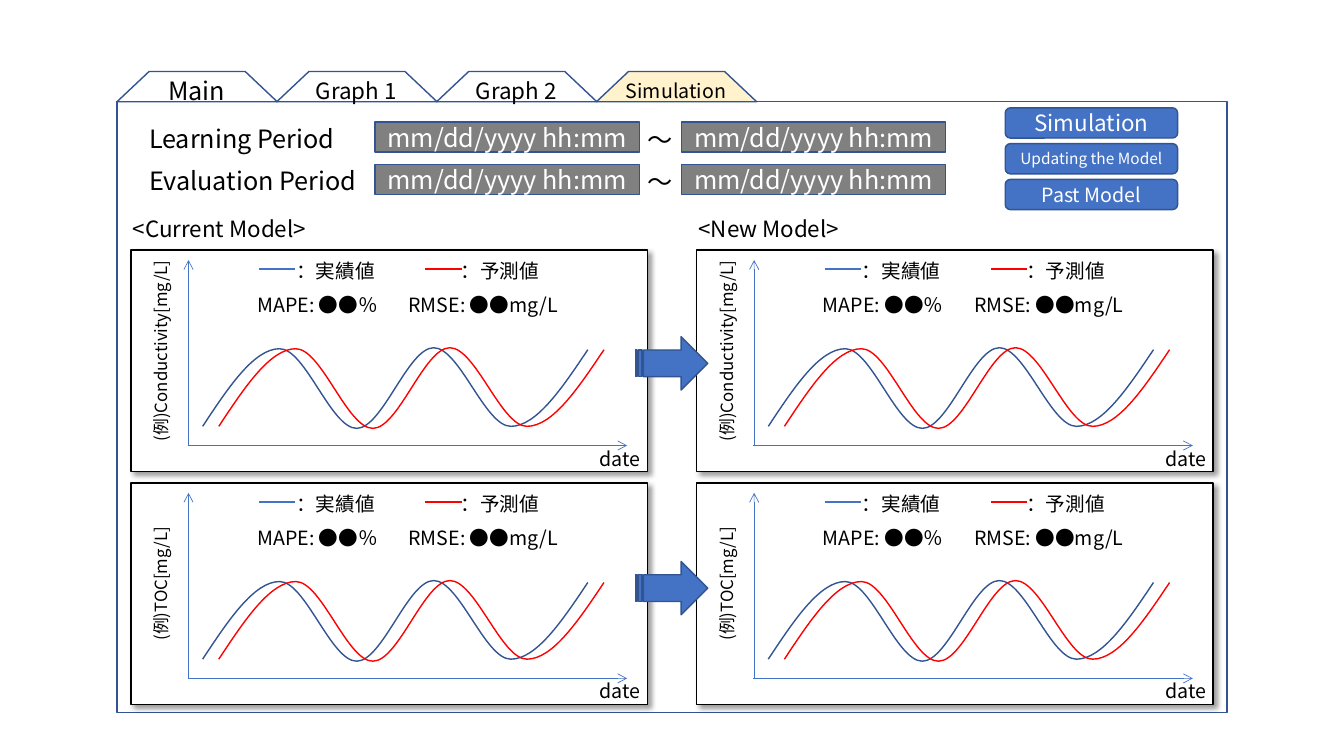
import lxml.etree
import pptx
import pptx.dml.color
import pptx.enum.shapes
import pptx.enum.text
import pptx.oxml.ns
import pptx.util

Inches = pptx.util.Inches
Pt = pptx.util.Pt
KIND = pptx.enum.shapes.MSO_SHAPE
ALIGN = pptx.enum.text.PP_ALIGN
qn = pptx.oxml.ns.qn

FONT = "Noto Sans CJK JP"
COLORS = {
    "blue": "4472C4",
    "navy": "325491",
    "cream": "FFF2CC",
    "gray": "808080",
    "red": "FF0000",
    "black": "000000",
    "white": "FFFFFF",
}


def rgb(name):
    return pptx.dml.color.RGBColor.from_string(COLORS[name])


def node(parent, tag, **attrs):
    return lxml.etree.SubElement(parent, qn(tag), attrs)


def write(shape, text, size, color, align):
    para = shape.text_frame.paragraphs[0]
    para.text = text
    para.alignment = align
    for run in para.runs:
        run.font.size = Pt(size)
        run.font.name = FONT
        run.font.color.rgb = rgb(color)
        node(run.font._element, "a:ea", typeface=FONT)


def label(slide, text, x, y, w, h, size, align=ALIGN.LEFT):
    box = slide.shapes.add_textbox(Inches(x), Inches(y), Inches(w), Inches(h))
    box.text_frame.word_wrap = True
    box.text_frame.auto_size = pptx.enum.text.MSO_AUTO_SIZE.SHAPE_TO_FIT_TEXT
    write(box, text, size, "black", align)
    return box


def style(shape, fill, line):
    shape.shadow.inherit = False
    if fill:
        shape.fill.solid()
        shape.fill.fore_color.rgb = rgb(fill)
    else:
        shape.fill.background()
    shape.line.color.rgb = rgb(line)
    shape.line.width = Pt(1)


def block(slide, kind, x, y, w, h, fill=None, line="navy"):
    shape = slide.shapes.add_shape(kind, Inches(x), Inches(y), Inches(w), Inches(h))
    style(shape, fill, line)
    return shape


def button(slide, kind, text, x, y, w, h, fill, size):
    shape = block(slide, kind, x, y, w, h, fill)
    shape.text_frame.vertical_anchor = pptx.enum.text.MSO_ANCHOR.MIDDLE
    write(shape, text, size, "white", ALIGN.CENTER)


def stroke(slide, x1, y1, x2, y2, color, width, arrow=False):
    line = slide.shapes.add_connector(
        pptx.enum.shapes.MSO_CONNECTOR.STRAIGHT,
        Inches(x1), Inches(y1), Inches(x2), Inches(y2))
    line.line.color.rgb = rgb(color)
    line.line.width = Pt(width)
    if arrow:
        node(line.line._get_or_add_ln(), "a:tailEnd", type="arrow")
    node(line._element.spPr, "a:effectLst")


def wave(slide, x, y, color):
    """Draw a smooth curve with level tangents at its inner turning points."""
    step = 0.764
    knots = [(Inches(step * i), Inches(dy))
             for i, dy in enumerate((0.78, 0.01, 0.8, 0, 0.78, 0.02))]
    pen = slide.shapes.build_freeform(*knots[0])
    pen.add_line_segments(knots[1:], close=False)
    curve = pen.convert_to_shape(Inches(x), Inches(y))
    style(curve, None, color)
    last = len(knots) - 2
    for i, line in enumerate(curve._element.xpath(".//a:lnTo")):
        (x0, y0), (x1, y1) = knots[i], knots[i + 1]
        mid = (y0 + y1) // 2
        third = (x1 - x0) // 3
        bend = ((x0 + third, mid if i == 0 else y0),
                (x1 - third, mid if i == last else y1),
                (x1, y1))
        cubic = lxml.etree.Element(qn("a:cubicBezTo"))
        for px, py in bend:
            node(cubic, "a:pt", x=str(px), y=str(py))
        line.getparent().replace(line, cubic)


def tabs(slide, x, y):
    names = (("Main", 18, 0.4), ("Graph 1", 16, 0.37),
             ("Graph 2", 16, 0.37), ("Simulation", 14, 0.34))
    for i, (name, size, high) in enumerate(names):
        left = x + 1.585 * i
        fill = "cream" if name == "Simulation" else None
        tab = block(slide, KIND.FLOWCHART_MANUAL_OPERATION, left, y, 1.59, 0.3, fill)
        tab.rotation = 180
        label(slide, name, left + 0.11, y + 0.19 - high / 2, 1.36, high,
              size, ALIGN.CENTER)


def period(slide, name, x, y):
    for left in (2.34, 5.38):
        button(slide, KIND.RECTANGLE, "mm/dd/yyyy hh:mm",
               x + left, y + 0.04, 2.62, 0.3, "gray", 18)
    label(slide, name, x, y, 2.41, 0.4, 18)
    label(slide, "～", x + 4.93, y + 0.01, 0.48, 0.4, 18, ALIGN.CENTER)


def menu(slide, x, y):
    items = (("Simulation", 16), ("Updating the Model", 11), ("Past Model", 14))
    for i, (name, size) in enumerate(items):
        button(slide, KIND.ROUNDED_RECTANGLE, name,
               x, y + 0.355 * i, 1.71, 0.3, "blue", size)


def panel(slide, unit, x, y):
    frame = block(slide, KIND.RECTANGLE, x, y, 5.12, 2.2, "white", "black")
    glow = node(frame._element.spPr.find(qn("a:effectLst")), "a:outerShdw",
                blurRad=str(Pt(4)), dist=str(Pt(3)), dir="2700000",
                algn="tl", rotWithShape="0")
    shade = node(glow, "a:srgbClr", val=COLORS["black"])
    node(shade, "a:alpha", val="40000")

    base = y + 1.94
    stroke(slide, x + 0.56, base, x + 4.92, base, "blue", 0.5, True)
    stroke(slide, x + 0.57, base, x + 0.57, y + 0.1, "blue", 0.5, True)
    label(slide, "date", x + 4.55, y + 1.9, 0.83, 0.34, 14)
    wave(slide, x + 0.71, y + 0.97, "navy")
    wave(slide, x + 0.87, y + 0.97, "red")
    axis = label(slide, "(例)" + unit, x - 0.72, y + 0.85, 2.03, 0.3, 12, ALIGN.CENTER)
    axis.rotation = 270
    label(slide, "MAPE: ●●％\tRMSE: ●●mg/L ", x + 0.58, y + 0.38,
          4.37, 0.34, 14, ALIGN.CENTER)
    for name, color, left, gap in (("：実績値", "blue", 1.27, 0.27),
                                   ("：予測値", "red", 2.92, 0.25)):
        stroke(slide, x + left, y + 0.19, x + left + 0.36, y + 0.19, color, 1.5)
        label(slide, name, x + left + gap, y + 0.04, 1.05, 0.34, 14)


def models(slide, x, y):
    for i, name in enumerate(("<Current Model>", "<New Model>")):
        left = x + 5.61 * i
        label(slide, name, left - 0.08, y - 0.39, 2.02, 0.37, 16)
        for j, unit in enumerate(("Conductivity[mg/L]", "TOC[mg/L]")):
            panel(slide, unit, left, y + 2.31 * j)
    for top in (0.86, 3.09):
        block(slide, KIND.STRIPED_RIGHT_ARROW, x + 5, y + top, 0.72, 0.53, "blue")


def main():
    deck = pptx.Presentation()
    deck.slide_width, deck.slide_height = Inches(13.33), Inches(7.5)
    slide = deck.slides.add_slide(deck.slide_layouts[6])
    block(slide, KIND.RECTANGLE, 1.16, 1.01, 11.01, 6.06)
    tabs(slide, 1.16, 0.71)
    period(slide, "Learning Period", 1.38, 1.17)
    period(slide, "Evaluation Period", 1.38, 1.59)
    menu(slide, 9.97, 1.07)
    models(slide, 1.3, 2.48)
    deck.save("out.pptx")


if __name__ == "__main__":
    main()
